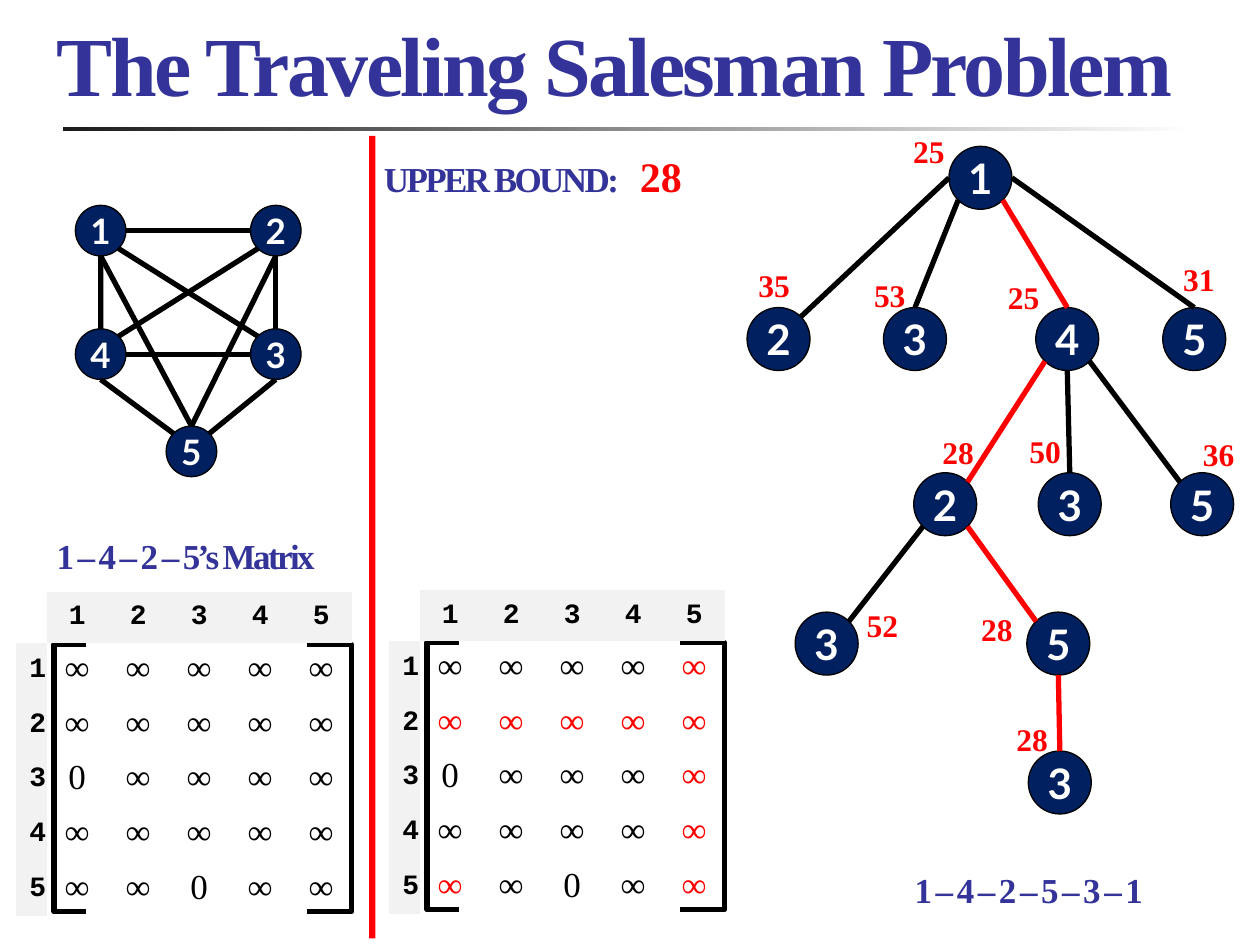
"""Build the branch-and-bound slide for the Traveling Salesman Problem."""
import math

import lxml.etree
import pptx
import pptx.dml.color
import pptx.enum.shapes
import pptx.enum.text
import pptx.oxml.ns
import pptx.util

Cm, Pt = pptx.util.Cm, pptx.util.Pt
SHAPE = pptx.enum.shapes.MSO_SHAPE
ANCHOR = pptx.enum.text.MSO_ANCHOR
ALIGN = pptx.enum.text.PP_ALIGN
SIZING = pptx.enum.text.MSO_AUTO_SIZE
qn = pptx.oxml.ns.qn

COLORS = {"title": "333399", "node": "002060", "red": "FF0000", "black": "000000",
          "white": "FFFFFF", "head": "F2F2F2", "rule": "1C1C1C"}
SERIF, MONO, SANS = "Times New Roman", "Courier New", "Lato"
TITLE = ("The Traveling Salesman Problem", (0.89, 0.18, 23.6, 2.24))
HEADINGS = [("UPPER BOUND:", (7.49, 3.07, 5.51, 1.07)),
            ("1 – 4 – 2 – 5’s Matrix", (0.89, 10.67, 5.89, 1.07)),
            ("1 – 4 – 2 – 5 – 3 – 1", (18.19, 17.42, 5.38, 1.07))]
BOUND = ("28", (12.65, 2.9, 1.7, 1.27))
COSTS = [("25", 18.16, 2.54), ("35", 15.04, 5.23), ("53", 17.37, 5.44),
         ("25", 20.07, 5.49), ("31", 23.6, 5.11), ("28", 18.75, 8.61),
         ("50", 20.5, 8.59), ("36", 24, 8.64), ("52", 17.22, 12.09),
         ("28", 19.53, 12.17), ("28", 20.24, 14.4)]

TREE = {"1": (19.13, 2.95),
        "12": (15.06, 6.2), "13": (17.81, 6.2), "14": (20.88, 6.2), "15": (23.44, 6.2),
        "142": (18.42, 9.53), "143": (20.93, 9.53), "145": (23.6, 9.53),
        "1423": (16.03, 12.34), "1425": (20.7, 12.34), "14253": (20.73, 15.14)}
TREE_EDGES = [("1", "l", "12", "tr"), ("1", "bl", "13", "t"), ("1", "br", "14", "t"),
              ("1", "r", "15", "t"), ("14", "bl", "142", "tr"), ("14", "b", "143", "t"),
              ("14", "br", "145", "tl"), ("142", "bl", "1423", "tr"),
              ("142", "br", "1425", "tl"), ("1425", "b", "14253", "t")]
BEST_PATH = "14253"
GRAPH = {"1": (1.52, 4.14), "2": (5.05, 4.14), "4": (1.52, 6.63),
         "3": (5.05, 6.63), "5": (3.35, 8.59)}
GRAPH_EDGES = [("1", "b", "4", "t"), ("1", "r", "2", "l"), ("2", "b", "3", "t"),
               ("3", "b", "5", "tr"), ("4", "b", "5", "tl"), ("1", "br", "3", "tl"),
               ("4", "r", "3", "l"), ("4", "tr", "2", "bl"), ("2", "b", "5", "t"),
               ("1", "b", "5", "t")]
SITES = ["t", "tl", "l", "bl", "b", "br", "r", "tr"]

MATRIX = ["∞∞∞∞∞", "∞∞∞∞∞", "0∞∞∞∞", "∞∞∞∞∞", "∞∞0∞∞"]
MATRICES = [((0.33, 11.94), set()),
            ((7.85, 11.9), {(r, c) for r in range(5) for c in range(5)
                            if c == 4 or r == 1 or (r, c) == (4, 0)})]
LABEL_W, COL_W, HEAD_H, ROW_H = 0.61, 1.23, 0.94, 1.1
PLAIN_STYLE = "{2D5ABB26-0587-4C30-8999-92F81FD0307C}"


def rgb(name):
    return pptx.dml.color.RGBColor.from_string(COLORS[name])


def apply(obj, values):
    for name, value in values.items():
        setattr(obj, name, value)


def write(tf, text, font, size, color, bold=True, align=ALIGN.LEFT, spacing=None, **frame):
    apply(tf, frame)
    p = tf.paragraphs[0]
    p.alignment = align
    r = p.add_run()
    r.text = text
    apply(r.font, {"name": font, "size": Pt(size), "bold": bold})
    r.font.color.rgb = rgb(color)
    if spacing:
        r.font._element.set("spc", str(spacing))


def add_text(s, box, *args, **kwargs):
    sp = s.shapes.add_textbox(*map(Cm, box))
    write(sp.text_frame, *args, word_wrap=True, **kwargs)


def add_shape(shapes, kind, box, fill=None, line=None, width=0.75):
    sp = shapes.add_shape(kind, *map(Cm, box))
    sp.shadow.inherit = False
    if fill:
        sp.fill.solid()
        sp.fill.fore_color.rgb = rgb(fill)
    else:
        sp.fill.background()
    if line:
        sp.line.color.rgb = rgb(line)
        sp.line.width = Pt(width)
    else:
        sp.line.fill.background()
    return sp


def site_point(origin, size, site):
    angle = math.radians(90 + 45 * SITES.index(site))
    x, y = origin
    return (Cm(x + size / 2 * (1 + math.cos(angle))),
            Cm(y + size / 2 * (1 - math.sin(angle))))


def add_network(shapes, nodes, edges, size, font_size, best=""):
    placed = {}
    for key, origin in nodes.items():
        sp = add_shape(shapes, SHAPE.OVAL, (*origin, size, size), "node", "black")
        write(sp.text_frame, key[-1], SANS, font_size, "white", align=ALIGN.CENTER,
              word_wrap=False, vertical_anchor=ANCHOR.MIDDLE)
        placed[key] = sp
    for start, out, end, into in edges:
        cx = shapes.add_connector(pptx.enum.shapes.MSO_CONNECTOR.STRAIGHT,
                                  *site_point(nodes[start], size, out),
                                  *site_point(nodes[end], size, into))
        cx.line.color.rgb = rgb("red" if best.startswith(end) else "black")
        cx.line.width = Pt(3)
        lxml.etree.SubElement(cx._element.spPr, qn("a:effectLst"))
        joints = cx._element.find(".//" + qn("p:cNvCxnSpPr"))
        for tag, key, site in (("a:stCxn", start, out), ("a:endCxn", end, into)):
            lxml.etree.SubElement(joints, qn(tag), id=str(placed[key].shape_id),
                                  idx=str(SITES.index(site)))


def add_matrix(s, origin, red):
    x, y = origin
    for kind, dx, width in ((SHAPE.LEFT_BRACKET, 0.76, 0.64),
                            (SHAPE.RIGHT_BRACKET, 5.85, 0.91)):
        sp = add_shape(s.shapes, kind, (x + dx, y + 1.06, width, 5.38), None, "black", 3)
        sp.adjustments[0] = 0
    n = len(MATRIX)
    frame = s.shapes.add_table(n + 1, n + 1, Cm(x), Cm(y), Cm(LABEL_W + n * COL_W),
                               Cm(HEAD_H + n * ROW_H))
    table = frame.table
    apply(table, {"first_row": False, "horz_banding": False})
    table._tbl.tblPr.find(qn("a:tableStyleId")).text = PLAIN_STYLE
    for i in range(n + 1):
        table.columns[i].width = Cm(COL_W if i else LABEL_W)
        table.rows[i].height = Cm(ROW_H if i else HEAD_H)
        for j in range(n + 1):
            cell = table.cell(i, j)
            if i and j:
                cell.fill.background()
                color = "red" if (i - 1, j - 1) in red else "black"
                write(cell.text_frame, MATRIX[i - 1][j - 1], SERIF, 20, color, False,
                      ALIGN.CENTER)
            elif i or j:
                cell.fill.solid()
                cell.fill.fore_color.rgb = rgb("head")
                cell.vertical_anchor = ANCHOR.MIDDLE
                write(cell.text_frame, str(i or j), MONO, 16, "black", True, ALIGN.CENTER)
            else:
                cell.fill.background()
            if j == 0:
                cell.margin_right = 0


def main():
    prs = pptx.Presentation()
    apply(prs, {"slide_width": Cm(25.4), "slide_height": Cm(19.05)})
    s = prs.slides.add_slide(prs.slide_layouts[5])

    text, box = TITLE
    title = s.shapes.title
    apply(title, dict(zip(("left", "top", "width", "height"), map(Cm, box))))
    write(title.text_frame, text, SERIF, 48, "title", spacing=-150, word_wrap=True,
          auto_size=SIZING.NONE, vertical_anchor=ANCHOR.BOTTOM)

    rule = add_shape(s.shapes, SHAPE.RECTANGLE, (1.27, 2.57, 22.86, 0.08))
    rule.fill.gradient()
    rule.fill.gradient_angle = 0
    for stop, position, color in zip(rule.fill.gradient_stops, (0, 1), ("rule", "white")):
        stop.position = position
        stop.color.rgb = rgb(color)
    add_shape(s.shapes, SHAPE.RECTANGLE, (7.44, 2.74, 0.13, 16.18), "red")

    for text, box in HEADINGS:
        add_text(s, box, text, SERIF, 20, "title", spacing=-150,
                 vertical_anchor=ANCHOR.BOTTOM)
    text, box = BOUND
    add_text(s, box, text, SERIF, 24, "red", auto_size=SIZING.SHAPE_TO_FIT_TEXT)

    add_network(s.shapes, TREE, TREE_EDGES, 1.27, 24, BEST_PATH)
    for text, x, y in COSTS:
        add_text(s, (x, y, 1.4, 1.02), text, SERIF, 18, "red",
                 auto_size=SIZING.SHAPE_TO_FIT_TEXT)
    for origin, red in MATRICES:
        add_matrix(s, origin, red)
    add_network(s.shapes.add_group_shape().shapes, GRAPH, GRAPH_EDGES, 1.02, 20)
    prs.save("out.pptx")


if __name__ == "__main__":
    main()
